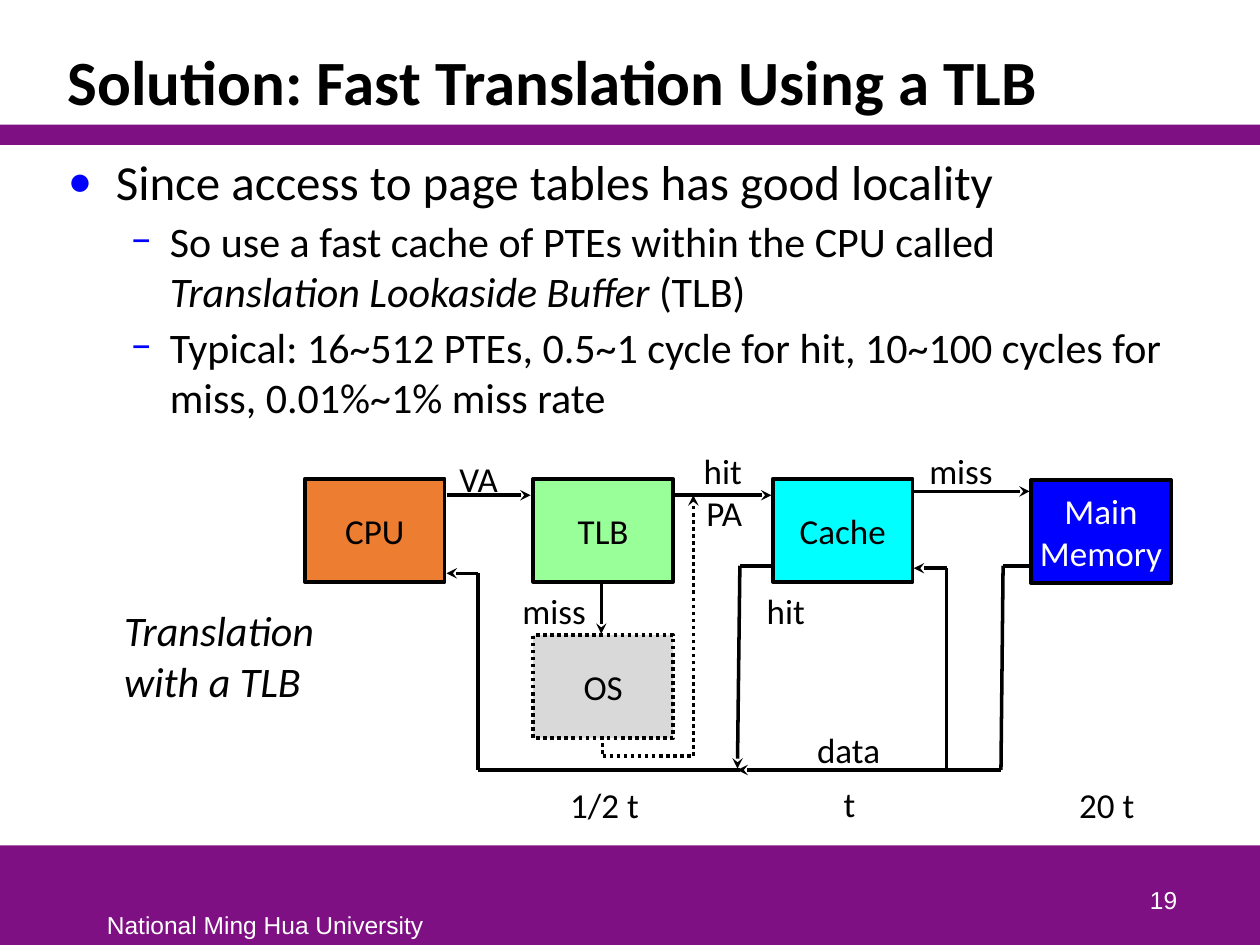
from lxml import etree
from pptx import Presentation
from pptx.dml.color import RGBColor
from pptx.enum.dml import MSO_LINE
from pptx.enum.shapes import MSO_CONNECTOR, MSO_SHAPE
from pptx.enum.text import MSO_ANCHOR, PP_ALIGN
from pptx.oxml.ns import qn
from pptx.util import Pt

RECTANGLE = MSO_SHAPE.RECTANGLE
STRAIGHT = MSO_CONNECTOR.STRAIGHT
DOTTED = MSO_LINE.ROUND_DOT
TOP, MIDDLE, BOTTOM = MSO_ANCHOR.TOP, MSO_ANCHOR.MIDDLE, MSO_ANCHOR.BOTTOM
LEFT, CENTER, RIGHT = PP_ALIGN.LEFT, PP_ALIGN.CENTER, PP_ALIGN.RIGHT
BLACK, WHITE, PURPLE, BLUE = "000000", "FFFFFF", "7F1084", "0000FF"
NODE_WIDTH, NODE_HEIGHT = 80, 59

NODES = [
    ("CPU", 0, 15.6, "ED7D31", BLACK, False),
    ("TLB", 130.5, 15.6, "99FF99", BLACK, False),
    ("Cache", 267.4, 15.6, "00FFFF", BLACK, False),
    ("Main\nMemory", 415, 16.3, BLUE, WHITE, False),
    ("OS", 130.5, 104.9, "D9D9D9", BLACK, True),
]
ROUTES = [
    ([(81, 25), (129, 25)], True, False),
    ([(209, 25), (266.6, 25)], True, False),
    ([(347.3, 22.8), (414.2, 22.8)], True, False),
    ([(414.2, 65.3), (399, 65.3), (397.8, 182), (247.2, 182)], True, False),
    ([(248.6, 182), (99, 182), (99, 69.6), (81, 69.6)], True, False),
    ([(366.7, 182), (366.7, 66.7), (348, 66.7)], True, False),
    ([(266.6, 65.3), (248.6, 65.3), (247.2, 181.2)], True, False),
    ([(169.4, 75.4), (169.4, 104.2)], True, False),
    ([(170.2, 166.8), (170.2, 174), (222, 174), (222, 25)], True, True),
]
LABELS = [
    ("VA", 83.8, 4.8, 31.7),
    ("PA", 224.9, 24.2, 30.2),
    ("hit", 223.4, 0.5, 31.7),
    ("miss", 352.3, 0.5, 46),
    ("miss", 119.8, 80.4, 46),
    ("hit", 259.4, 80.4, 31.7),
    ("data", 288.2, 159.6, 46),
    ("1/2 t", 147.1, 191.3, 49),
    ("t", 303.4, 190.6, 15.8),
    ("20 t", 438, 191.3, 41),
]


def color(hex_string):
    """Turn a hex string into a colour."""
    return RGBColor.from_string(hex_string)


def style(font, size, hex_string=BLACK, name="Calibri", bold=False, italic=False):
    """Set the look of a font."""
    font.name, font.size, font.bold, font.italic = name, Pt(size), bold, italic
    font.color.rgb = color(hex_string)


def set_frame(shape, margins, anchor, wrap):
    """Set the margins, anchor and wrapping of a shape's text."""
    frame = shape.text_frame
    frame.margin_left = frame.margin_right = Pt(margins[0])
    frame.margin_top = frame.margin_bottom = Pt(margins[1])
    frame.vertical_anchor, frame.word_wrap = anchor, wrap
    return frame


def add_text(page, box, text, size, align=LEFT, anchor=TOP, wrap=False,
             margins=(7.2, 3.6), spacing=None, **look):
    """Add a text box with one look for all its paragraphs."""
    shape = page.shapes.add_textbox(*map(Pt, box))
    frame = set_frame(shape, margins, anchor, wrap)
    frame.text = text
    for para in frame.paragraphs:
        para.alignment, para.line_spacing = align, spacing
        style(para.font, size, **look)


def add_block(page, box, fill):
    """Add a filled rectangle without an outline."""
    shape = page.shapes.add_shape(RECTANGLE, *map(Pt, box))
    shape.shadow.inherit = False
    shape.fill.solid()
    shape.fill.fore_color.rgb = color(fill)
    shape.line.fill.background()
    return shape


def set_outline(line, dotted):
    """Give a line its black colour, width and dash."""
    line.color.rgb = color(BLACK)
    line.width = Pt(2)
    if dotted:
        line.dash_style = DOTTED


def add_node(page, box, text, fill, ink, dotted):
    """Add a labelled component of the diagram."""
    shape = add_block(page, box, fill)
    set_outline(shape.line, dotted)
    frame = set_frame(shape, (6.5, 3.6), MIDDLE, False)
    frame.text = text
    for para in frame.paragraphs:
        para.alignment = CENTER
        style(para.font, 20, ink)


def add_segment(page, start, end, arrow, dotted):
    """Add one straight line, with an arrowhead at its end if asked."""
    segment = page.shapes.add_connector(STRAIGHT, *map(Pt, (*start, *end)))
    set_outline(segment.line, dotted)
    properties = segment._element.spPr
    if arrow:
        outline = properties.find(qn("a:ln"))
        etree.SubElement(outline, qn("a:tailEnd"), type="stealth")
    etree.SubElement(properties, qn("a:effectLst"))


def add_bullet(para, mark, margin, hanging):
    """Give a paragraph a blue bullet and a hanging indent."""
    properties = para._p.get_or_add_pPr()
    properties.set("marL", str(Pt(margin)))
    properties.set("indent", str(-Pt(hanging)))
    tint = etree.SubElement(properties, qn("a:buClr"))
    etree.SubElement(tint, qn("a:srgbClr"), val=BLUE)
    etree.SubElement(properties, qn("a:buFont"), typeface="Calibri")
    etree.SubElement(properties, qn("a:buChar"), char=mark)


def add_header(page, left, top, width, height):
    """Place the title and the band beneath it."""
    add_block(page, (left, top + height, width, 11.5), PURPLE)
    add_text(page, (left + 31.7, top + 18, width - 63.4, height - 18),
             "Solution: Fast Translation Using a TLB", 36, anchor=BOTTOM,
             wrap=True, spacing=0.85, bold=True)


def add_body(page, left, top, width, height):
    """Place the bulleted list."""
    shape = page.shapes.add_textbox(*map(Pt, (left, top, width, height)))
    frame = set_frame(shape, (7.2, 3.6), TOP, True)
    points = [
        (0, ["Since access to page tables has good locality"]),
        (1, ["So use a fast cache of PTEs within the CPU called ",
             "Translation Lookaside Buffer ", "(TLB)"]),
        (1, ["Typical: 16~512 PTEs, 0.5~1 cycle for hit, 10~100 cycles for "
             "miss, 0.01%~1% miss rate"]),
    ]
    levels = [("•", 27.4, 27.4, 28), ("−", 58.3, 22.3, 24)]
    for index, (level, parts) in enumerate(points):
        para = frame.add_paragraph() if index else frame.paragraphs[0]
        mark, margin, hanging, size = levels[level]
        para.level, para.space_before = level, Pt(3)
        add_bullet(para, mark, margin, hanging)
        for number, part in enumerate(parts):
            if number == 1:
                para.add_line_break()
            span = para.add_run()
            span.text = part
            style(span.font, size, italic=number == 1)


def add_diagram(page, left, top):
    """Place the translation diagram with its nodes, routes and labels."""
    for text, x, y, fill, ink, dotted in NODES:
        add_node(page, (left + x, top + y, NODE_WIDTH, NODE_HEIGHT),
                 text, fill, ink, dotted)
    for points, arrow, dotted in ROUTES:
        corners = [(left + x, top + y) for x, y in points]
        for index, (start, end) in enumerate(zip(corners, corners[1:])):
            is_last = index == len(corners) - 2
            add_segment(page, start, end, arrow and is_last, dotted)
    for text, x, y, width in LABELS:
        add_text(page, (left + x, top + y, width, 24.5), text, 20,
                 margins=(4.5, 2.2), spacing=0.85)
    add_text(page, (left - 107.8, top + 85.4, 119.5, 62),
             "Translation\nwith a TLB", 24, margins=(4.5, 2.2), italic=True)


def add_footer(page, left, top, width, height):
    """Place the bottom band with the school name and page number."""
    add_block(page, (left, top, width, height), PURPLE)
    add_text(page, (left + 54, top + 33.2, 198.7, 23.8),
             "National Ming Hua University", 14, hex_string=WHITE, name="Arial")
    add_text(page, (left + 530, top + 7.2, 149.8, 36), "19", 14, align=RIGHT,
             anchor=BOTTOM, wrap=True, hex_string=WHITE, name="Arial")


def main():
    """Build the deck and save it."""
    deck = Presentation()
    deck.slide_width, deck.slide_height = Pt(720), Pt(540)
    page = deck.slides.add_slide(deck.slide_layouts[6])
    add_footer(page, 0, 483.1, 720, 56.9)
    add_header(page, 0, 0, 720, 71.3)
    add_body(page, 31.7, 82.8, 656.6, 398.2)
    add_diagram(page, 174.2, 258)
    deck.save("out.pptx")


if __name__ == "__main__":
    main()
